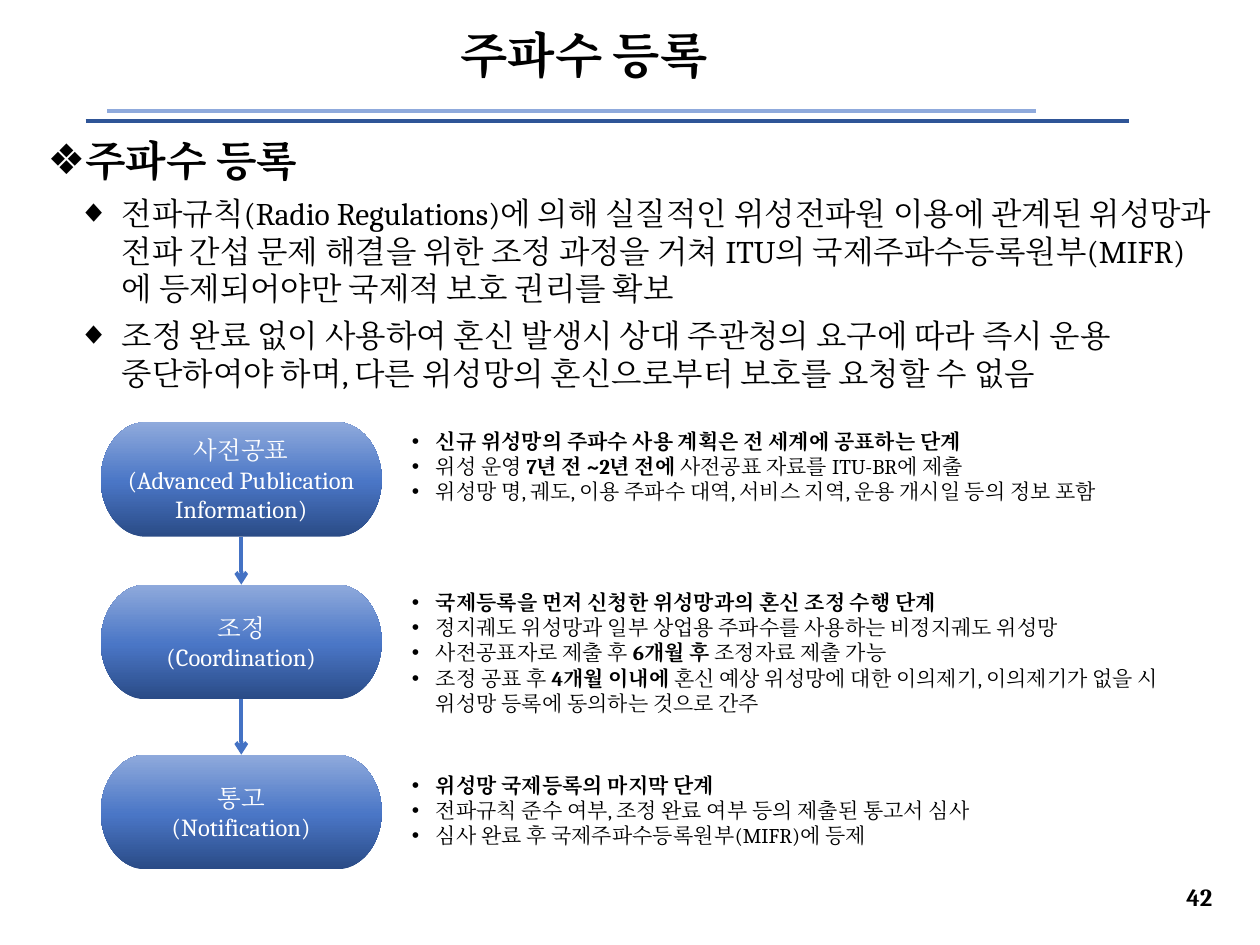
from lxml.etree import SubElement
from pptx import Presentation
from pptx.dml.color import RGBColor
from pptx.enum.lang import MSO_LANGUAGE_ID
from pptx.enum.shapes import MSO_CONNECTOR, MSO_SHAPE
from pptx.enum.text import MSO_ANCHOR, MSO_AUTO_SIZE, PP_ALIGN
from pptx.oxml.ns import qn
from pptx.util import Inches, Pt

FONT = "Cambria"
BLACK, WHITE = "000000", "FFFFFF"
RULE_DARK, RULE_LIGHT, ARROW = "2F5597", "8FAADC", "4472C4"
GRADIENT = [(0, "2A4B86"), (48, "4A76C6"), (100, "8FAADC")]

STEP_LEFT, STEP_WIDTH, STEP_HEIGHT = 0.8, 2.23, 0.91
NOTE_LEFT, NOTE_WIDTH = 3.17, 6.19

# Body lines: text, size, bold, bullet, left margin, indent, space before
BODY = [
    ("주파수 등록", 24, True, "❖", 0.25, -0.39, 0),
    ("전파규칙(Radio Regulations)에 의해 실질적인 위성전파원 이용에 관계된 위성망과 "
     "전파 간섭 문제 해결을 위한 조정 과정을 거쳐 ITU의 국제주파수등록원부(MIFR)에 "
     "등제되어야만 국제적 보호 권리를 확보", 18, False, "◆", 0.59, -0.35, 5),
    ("조정 완료 없이 사용하여 혼신 발생시 상대 주관청의 요구에 따라 즉시 운용 "
     "중단하여야 하며, 다른 위성망의 혼신으로부터 보호를 요청할 수 없음",
     18, False, "◆", 0.59, -0.35, 5),
]

# Steps: top, label lines, note top, note height, notes (bold between asterisks)
STEPS = [
    (3.35, ["사전공표", "(Advanced Publication Information)"], 3.35, 0.71, [
        "*신규 위성망의 주파수 사용 계획은 전 세계에 공표하는 단계*",
        "위성 운영 *7년 전 ~2년 전에 *사전공표 자료를 ITU-BR에 제출",
        "위성망 명, 궤도, 이용 주파수 대역, 서비스 지역, 운용 개시일 등의 정보 포함",
    ]),
    (4.64, ["조정", "(Coordination)"], 4.63, 1.11, [
        "*국제등록을 먼저 신청한 위성망과의 혼신 조정 수행 단계*",
        "정지궤도 위성망과 일부 상업용 주파수를 사용하는 비정지궤도 위성망",
        "사전공표자로 제출 후 *6개월 후 *조정자료 제출 가능",
        "조정 공표 후 *4개월 이내에 *혼신 예상 위성망에 대한 이의제기, "
        "이의제기가 없을 시 위성망 등록에 동의하는 것으로 간주",
    ]),
    (5.99, ["통고", "(Notification)"], 6.08, 0.71, [
        "*위성망 국제등록의 마지막 단계*",
        "전파규칙 준수 여부, 조정 완료 여부 등의 제출된 통고서 심사",
        "심사 완료 후 국제주파수등록원부(MIFR)에 등제",
    ]),
]


def rgb(color):
    return RGBColor.from_string(color)


def format_run(run, size, bold=False, color=BLACK):
    font = run.font
    font.size, font.bold = Pt(size), bold
    font.color.rgb = rgb(color)
    font.name = FONT
    font.language_id = MSO_LANGUAGE_ID.KOREAN
    SubElement(font._element, qn("a:ea"), typeface=FONT)


def format_paragraph(paragraph, size, bold=False, color=BLACK, align=PP_ALIGN.LEFT):
    paragraph.alignment = align
    for run in paragraph.runs:
        format_run(run, size, bold, color)


def set_bullet(paragraph, character, margin, indent):
    properties = paragraph._p.get_or_add_pPr()
    properties.set("marL", str(Inches(margin)))
    properties.set("indent", str(Inches(indent)))
    SubElement(properties, qn("a:buFont"), typeface="Arial")
    SubElement(properties, qn("a:buChar"), char=character)


def add_text_box(slide, left, top, width, height):
    box = slide.shapes.add_textbox(*map(Inches, (left, top, width, height)))
    box.text_frame.word_wrap = True
    return box.text_frame


def add_line(slide, start, end, color):
    line = slide.shapes.add_connector(
        MSO_CONNECTOR.STRAIGHT, *map(Inches, (*start, *end)))
    line.line.color.rgb = rgb(color)
    line.line.width = Pt(2.25)
    SubElement(line._element.spPr, qn("a:effectLst"))
    return line


def add_title(slide, text):
    title = slide.shapes.title
    title.left, title.top, title.width, title.height = map(
        Inches, (0.97, 0.08, 7.33, 0.75))
    title.text_frame.text = text
    title.text_frame.vertical_anchor = MSO_ANCHOR.MIDDLE
    paragraph = title.text_frame.paragraphs[0]
    paragraph.line_spacing = 0.9
    format_paragraph(paragraph, 28, True, align=PP_ALIGN.CENTER)


def add_body(slide):
    frame = add_text_box(slide, 0.28, 1.02, 9.44, 2.2)
    frame.text = "\n".join(line[0] for line in BODY)
    for paragraph, line in zip(frame.paragraphs, BODY):
        _, size, bold, bullet, margin, indent, space = line
        paragraph.level = 1 if space else 0
        paragraph.space_before = Pt(space)
        set_bullet(paragraph, bullet, margin, indent)
        format_paragraph(paragraph, size, bold)


def add_step(slide, top, labels):
    step = slide.shapes.add_shape(
        MSO_SHAPE.FLOWCHART_TERMINATOR,
        *map(Inches, (STEP_LEFT, top, STEP_WIDTH, STEP_HEIGHT)))
    step.shadow.inherit = False
    step.line.fill.background()
    # Three-stop gradient, dark at the bottom
    step.fill.gradient()
    step.fill.gradient_angle = 90
    stops = step._element.spPr.find(qn("a:gradFill")).find(qn("a:gsLst"))
    for stop in list(stops):
        stops.remove(stop)
    for position, color in GRADIENT:
        stop = SubElement(stops, qn("a:gs"), pos=str(position * 1000))
        SubElement(stop, qn("a:srgbClr"), val=color)
    step.text_frame.text = "\n".join(labels)
    step.text_frame.vertical_anchor = MSO_ANCHOR.MIDDLE
    for paragraph in step.text_frame.paragraphs:
        format_paragraph(paragraph, 14, color=WHITE, align=PP_ALIGN.CENTER)
    return step


def add_notes_list(slide, top, height, notes):
    frame = add_text_box(slide, NOTE_LEFT, top, NOTE_WIDTH, height)
    frame.auto_size = MSO_AUTO_SIZE.SHAPE_TO_FIT_TEXT
    for index, note in enumerate(notes):
        paragraph = frame.add_paragraph() if index else frame.paragraphs[0]
        set_bullet(paragraph, "•", 0.19, -0.19)
        for part, text in enumerate(note.split("*")):
            if text:
                run = paragraph.add_run()
                run.text = text
                format_run(run, 12, bold=part % 2 == 1)


def add_arrow(slide, upper, lower):
    arrow = add_line(slide, (0, 0), (1, 1), ARROW)
    arrow.begin_connect(upper, 2)
    arrow.end_connect(lower, 0)
    SubElement(arrow.line._get_or_add_ln(), qn("a:tailEnd"), type="arrow")


def add_page_number(slide, number):
    frame = add_text_box(slide, 8.65, 6.92, 1.07, 0.39)
    frame.vertical_anchor = MSO_ANCHOR.MIDDLE
    frame.text = number
    format_paragraph(frame.paragraphs[0], 14, True, align=PP_ALIGN.RIGHT)


def main():
    presentation = Presentation()
    presentation.slide_width, presentation.slide_height = Inches(10), Inches(7.5)
    slide = presentation.slides.add_slide(presentation.slide_layouts[5])

    # Heading with its two rules
    add_line(slide, (0.68, 0.96), (8.96, 0.96), RULE_DARK)
    add_line(slide, (0.85, 0.88), (8.22, 0.88), RULE_LIGHT)
    add_title(slide, "주파수 등록")
    add_body(slide)

    # Registration steps, each with its notes
    steps = []
    for top, labels, note_top, note_height, notes in STEPS:
        steps.append(add_step(slide, top, labels))
        add_notes_list(slide, note_top, note_height, notes)
    for upper, lower in zip(steps, steps[1:]):
        add_arrow(slide, upper, lower)

    add_page_number(slide, "42")
    presentation.save("out.pptx")


if __name__ == "__main__":
    main()
